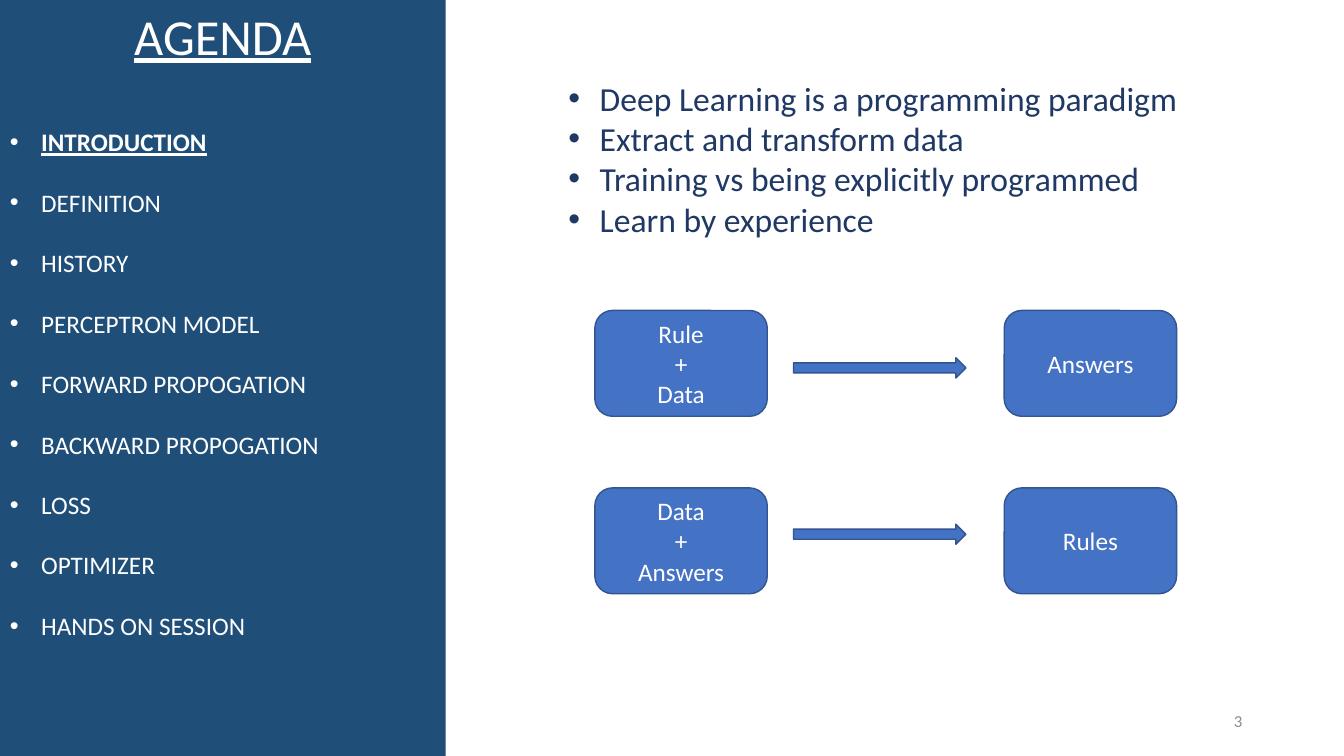
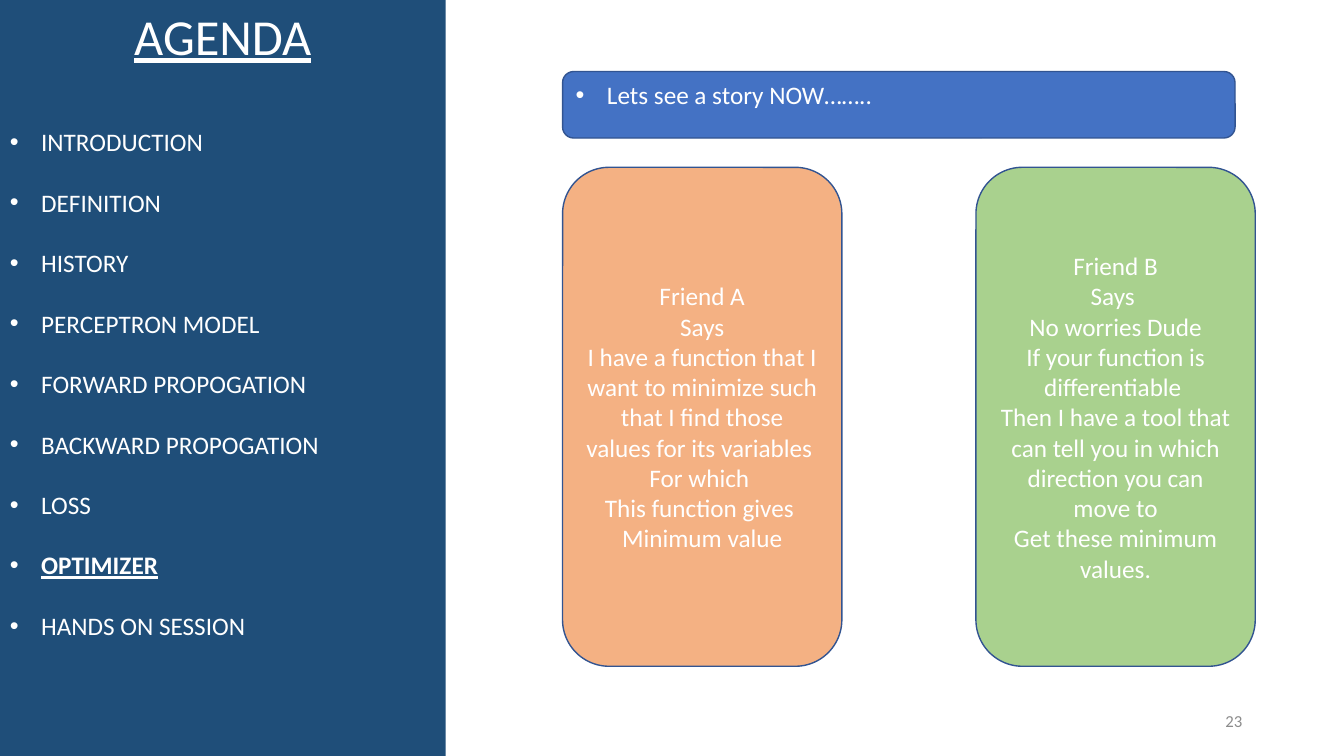
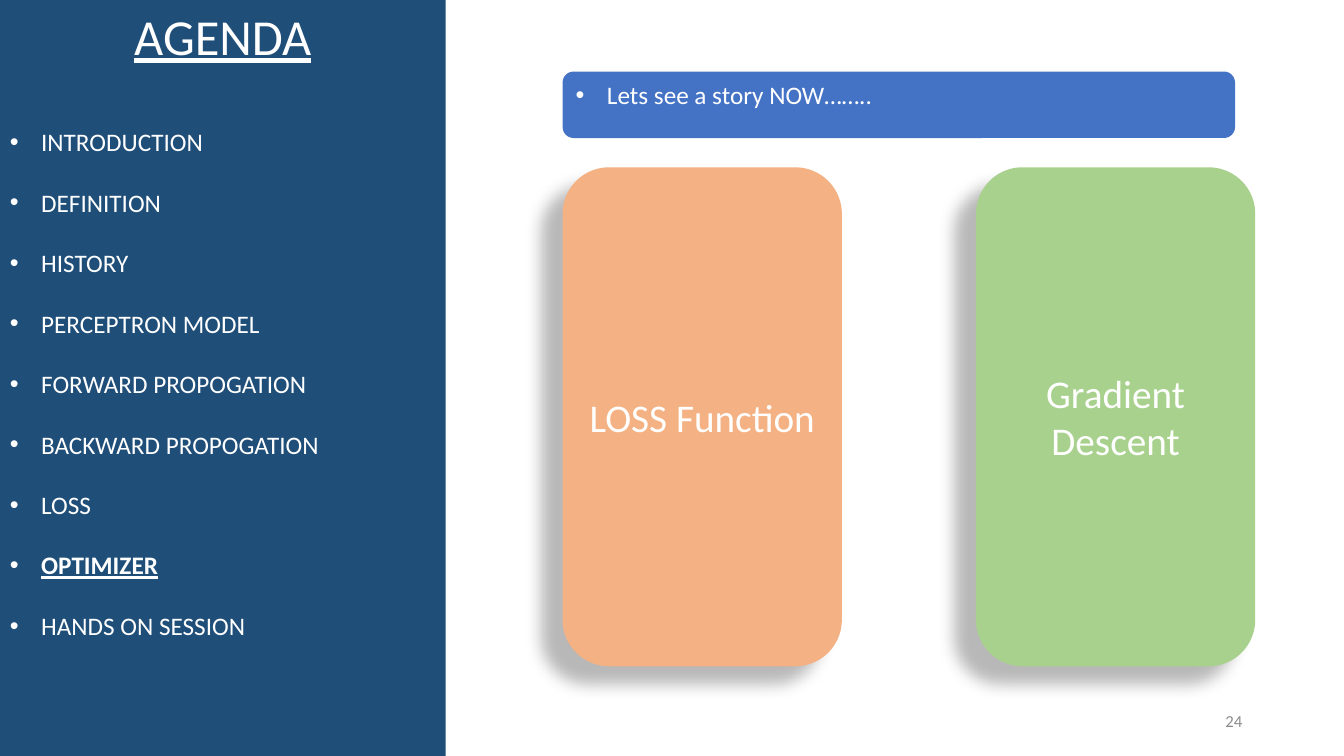
"""Build three agenda slides with a shared sidebar, story panels and flow diagram."""
from lxml.etree import SubElement
from pptx import Presentation
from pptx.dml.color import RGBColor
from pptx.enum.shapes import MSO_SHAPE
from pptx.enum.text import MSO_ANCHOR, PP_ALIGN
from pptx.oxml.ns import qn
from pptx.util import Inches, Pt

NAVY = RGBColor(0x1F, 0x4E, 0x79)
INK = RGBColor(0x20, 0x38, 0x64)
BLUE = RGBColor(0x44, 0x72, 0xC4)
EDGE = RGBColor(0x32, 0x54, 0x91)
ORANGE = RGBColor(0xF4, 0xB1, 0x83)
GREEN = RGBColor(0xA9, 0xD1, 0x8E)
GRAY = RGBColor(0x8C, 0x8C, 0x8C)
WHITE = RGBColor(0xFF, 0xFF, 0xFF)
FONT = "Calibri"
INDENT = Inches(0.31)

AGENDA = ["INTRODUCTION", "DEFINITION", "HISTORY", "PERCEPTRON MODEL", "FORWARD PROPOGATION",
          "BACKWARD PROPOGATION", "LOSS", "OPTIMIZER", "HANDS ON SESSION"]
POINTS = ["Deep Learning is a programming paradigm", "Extract and transform data",
          "Training vs being explicitly programmed", "Learn by experience"]
FLOWS = [
    (3.08, 3.55, ["Rule", "+", "Data"], ["Answers"]),
    (4.84, 5.2, ["Data", "+", "Answers"], ["Rules"]),
]
STORY = "Lets see a story NOW…….."
FRIEND_A = [
    "Friend A",
    "Says",
    "I have a function that I want to minimize such that I find those values for its variables ",
    "For which ",
    "This function gives ",
    "Minimum value",
]
FRIEND_B = [
    "Friend B",
    "Says ",
    "No worries Dude",
    "If your function is differentiable ",
    "Then I have a tool that can tell you in which direction you can move to",
    "Get these minimum values.",
]
STORIES = [
    dict(number=23, panels=[FRIEND_A, FRIEND_B], size=18, line=EDGE, shadow=False),
    dict(number=24, panels=[["LOSS Function"], ["Gradient Descent"]], size=28, line=None, shadow=True),
]


def add_text(tf, text, size=18, color=WHITE, bold=False, underline=False,
             align=PP_ALIGN.CENTER, bullet=False, spacing=None, before=None):
    p = tf.paragraphs[0]
    if p.runs:
        p = tf.add_paragraph()
    if bullet:
        align = PP_ALIGN.LEFT
        pPr = p._p.get_or_add_pPr()
        pPr.set("marL", str(INDENT))
        pPr.set("indent", str(-INDENT))
        SubElement(pPr, qn("a:buFont")).set("typeface", "Arial")
        SubElement(pPr, qn("a:buChar")).set("char", "•")
    p.alignment = align
    if spacing:
        p.line_spacing = spacing
    if before:
        p.space_before = Pt(before)
    r = p.add_run()
    r.text = text
    r.font.name, r.font.size, r.font.color.rgb = FONT, Pt(size), color
    r.font.bold, r.font.underline = bold, underline


def add_shape(s, kind, x, y, w, h, fill, line=EDGE, anchor=MSO_ANCHOR.MIDDLE):
    sp = s.shapes.add_shape(kind, Inches(x), Inches(y), Inches(w), Inches(h))
    sp.shadow.inherit = False
    sp.fill.solid()
    sp.fill.fore_color.rgb = fill
    if line is None:
        sp.line.fill.background()
    else:
        sp.line.color.rgb = line
        sp.line.width = Pt(1)
    sp.text_frame.word_wrap = True
    sp.text_frame.vertical_anchor = anchor
    return sp


def add_textbox(s, x, y, w, h, anchor=MSO_ANCHOR.TOP):
    tf = s.shapes.add_textbox(Inches(x), Inches(y), Inches(w), Inches(h)).text_frame
    tf.word_wrap = True
    tf.vertical_anchor = anchor
    return tf


def add_shadow(sp):
    effects = sp._element.spPr.find(qn("a:effectLst"))
    outer = SubElement(effects, qn("a:outerShdw"), blurRad=str(Pt(11.8)), dist=str(Pt(19.7)),
                       dir=str(141 * 60000), algn="tl", rotWithShape="0")
    black = SubElement(outer, qn("a:srgbClr"), val="000000")
    SubElement(black, qn("a:alpha"), val="28000")


def add_agenda_slide(prs, current, number):
    s = prs.slides.add_slide(prs.slide_layouts[6])
    tf = add_shape(s, MSO_SHAPE.RECTANGLE, 0, 0, 4.42, 7.5, NAVY, None, MSO_ANCHOR.TOP).text_frame
    add_text(tf, "AGENDA", size=36, underline=True)
    for i, topic in enumerate(AGENDA):
        active = topic == current
        add_text(tf, topic, bold=active, underline=active, bullet=True, spacing=2.0,
                 before=0 if i else 22)
    tf = add_textbox(s, 9.42, 6.95, 3, 0.4, MSO_ANCHOR.MIDDLE)
    add_text(tf, str(number), size=12, color=GRAY, align=PP_ALIGN.RIGHT)
    return s


def add_intro(prs):
    s = add_agenda_slide(prs, "INTRODUCTION", 3)
    tf = add_textbox(s, 5.54, 0.72, 6.7, 1.75)
    for point in POINTS:
        add_text(tf, point, size=24, color=INK, bullet=True)
    for box_y, arrow_y, given, result in FLOWS:
        for x, lines in ((5.9, given), (9.96, result)):
            sp = add_shape(s, MSO_SHAPE.ROUNDED_RECTANGLE, x, box_y, 1.71, 1.05, BLUE)
            for line in lines:
                add_text(sp.text_frame, line)
        add_shape(s, MSO_SHAPE.RIGHT_ARROW, 7.87, arrow_y, 1.71, 0.2, BLUE)


def add_story(prs, number, panels, size, line, shadow):
    s = add_agenda_slide(prs, "OPTIMIZER", number)
    banner = add_shape(s, MSO_SHAPE.ROUNDED_RECTANGLE, 5.58, 0.71, 6.67, 0.66, BLUE, line, MSO_ANCHOR.TOP)
    add_text(banner.text_frame, STORY, bullet=True)
    for x, fill, lines in zip((5.58, 9.68), (ORANGE, GREEN), panels):
        sp = add_shape(s, MSO_SHAPE.ROUNDED_RECTANGLE, x, 1.66, 2.77, 4.95, fill, line)
        if shadow:
            add_shadow(sp)
        for text in lines:
            add_text(sp.text_frame, text, size=size)


def main():
    prs = Presentation()
    prs.slide_width, prs.slide_height = Inches(13.33), Inches(7.5)
    add_intro(prs)
    for story in STORIES:
        add_story(prs, **story)
    prs.save("out.pptx")


if __name__ == "__main__":
    main()
